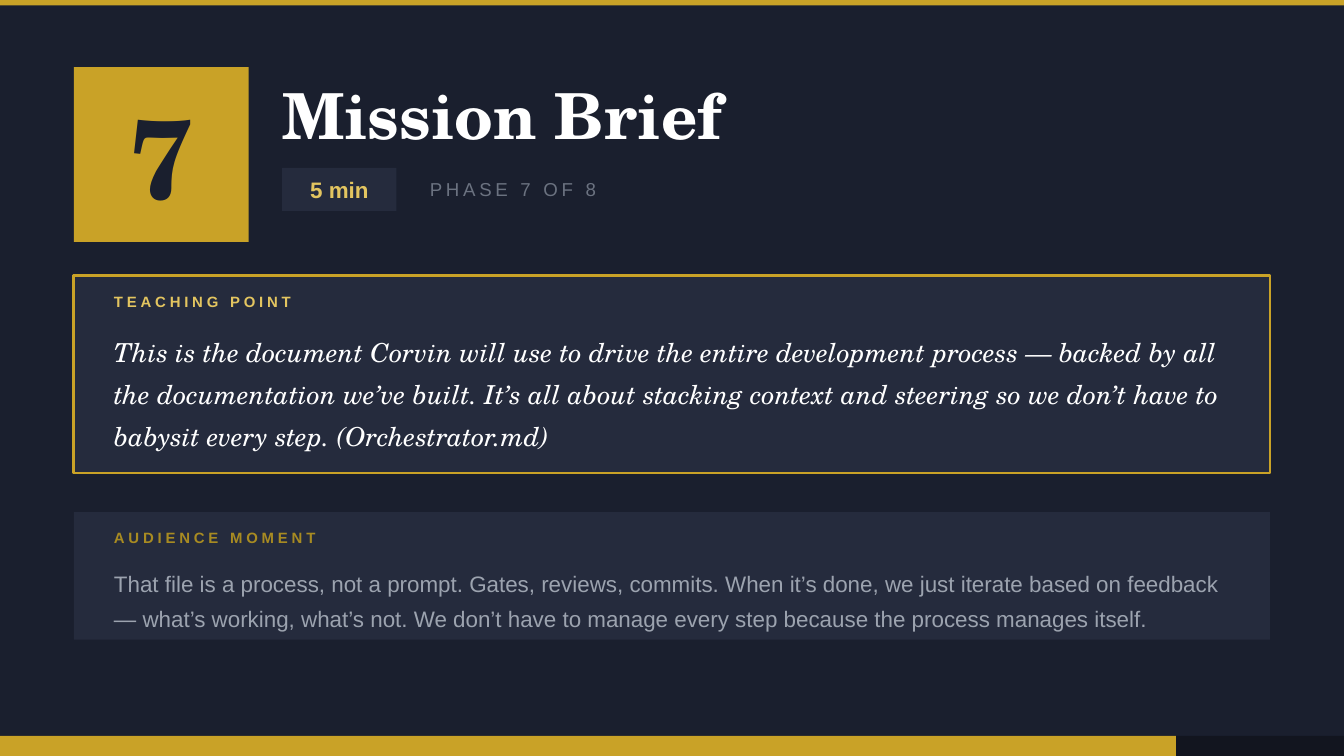
from pptx import Presentation
from pptx.dml.color import RGBColor
from pptx.enum.shapes import MSO_SHAPE
from pptx.enum.text import MSO_ANCHOR, PP_ALIGN
from pptx.util import Inches, Pt

RECT = MSO_SHAPE.RECTANGLE
TOP, MIDDLE = MSO_ANCHOR.TOP, MSO_ANCHOR.MIDDLE
LEFT, CENTER = PP_ALIGN.LEFT, PP_ALIGN.CENTER

SERIF, SANS = "TeX Gyre Schola", "Arial"
NAVY, PANEL, TRACK = "1A1F2E", "252B3D", "12151F"
GOLD, LIGHT_GOLD, DARK_GOLD = "C9A227", "E3C560", "A88B22"
WHITE, GREY, DIM_GREY = "FFFFFF", "9CA3AF", "6B7280"

SLIDE_W = 10
SLIDE_H = SLIDE_W * 9 / 16
MARGIN = 0.55
CONTENT_W = SLIDE_W - 2 * MARGIN
PHASE, PHASES = 7, 8


def rgb(color):
    return RGBColor.from_string(color)


def add_rect(s, x, y, w, h, fill, line=None):
    sp = s.shapes.add_shape(RECT, Inches(x), Inches(y), Inches(w), Inches(h))
    sp.shadow.inherit = False
    sp.fill.solid()
    sp.fill.fore_color.rgb = rgb(fill)
    if line:
        sp.line.color.rgb = rgb(line)
        sp.line.width = Pt(1.5)
    else:
        sp.line.fill.background()


def add_text(s, x, y, w, h, text, size, color, font=SANS, bold=False,
             italic=False, align=LEFT, anchor=MIDDLE, inset=0.1,
             tracking=0, line_spacing=None):
    """Add a one-paragraph text box; tracking is letter spacing in points."""
    sp = s.shapes.add_textbox(Inches(x), Inches(y), Inches(w), Inches(h))
    tf = sp.text_frame
    tf.word_wrap = True
    tf.vertical_anchor = anchor
    tf.margin_left = tf.margin_right = Inches(inset)
    tf.margin_top = tf.margin_bottom = Inches(inset / 2)
    p = tf.paragraphs[0]
    p.alignment = align
    if line_spacing:
        p.line_spacing = line_spacing
    r = p.add_run()
    r.text = text
    p.font.name, p.font.size = font, Pt(size)
    p.font.bold, p.font.italic = bold, italic
    p.font.color.rgb = rgb(color)
    if tracking:
        r.font._element.set("spc", str(tracking * 100))


def add_header(s, x, y, w, title, duration):
    badge = 1.3
    add_rect(s, x, y, badge, badge, GOLD)
    add_text(s, x, y, badge, badge, str(PHASE), 60, NAVY, SERIF, bold=True,
             align=CENTER)

    title_x = x + badge + 0.25
    add_text(s, title_x, y, x + w - title_x, 0.7, title, 34, WHITE, SERIF,
             bold=True, inset=0)

    pill_y, pill_w, pill_h = y + 0.75, 0.85, 0.32
    add_rect(s, title_x, pill_y, pill_w, pill_h, PANEL)
    add_text(s, title_x, pill_y, pill_w, pill_h, duration, 12, LIGHT_GOLD,
             bold=True, align=CENTER)
    add_text(s, title_x + pill_w + 0.15, pill_y, 2, pill_h,
             f"PHASE {PHASE} OF {PHASES}", 10, DIM_GREY, tracking=2)


def add_card(s, x, y, w, h, label, label_color, body, body_h, line=None,
             **body_style):
    add_rect(s, x, y, w, h, PANEL, line)
    add_text(s, x + 0.2, y + 0.08, 2, 0.22, label, 8, label_color, bold=True,
             tracking=2)
    add_text(s, x + 0.2, y + 0.32, w - 0.4, body_h, body, anchor=TOP,
             **body_style)


def add_progress_bar(s, x, y, w, h):
    add_rect(s, x, y, w, h, TRACK)
    add_rect(s, x, y, w * PHASE / PHASES, h, GOLD)


def main():
    prs = Presentation()
    prs.slide_width, prs.slide_height = Inches(SLIDE_W), Inches(SLIDE_H)
    s = prs.slides.add_slide(prs.slide_layouts[6])
    s.background.fill.solid()
    s.background.fill.fore_color.rgb = rgb(NAVY)

    add_rect(s, 0, 0, SLIDE_W, 0.04, GOLD)
    add_header(s, MARGIN, 0.5, CONTENT_W, "Mission Brief", "5 min")
    add_card(
        s, MARGIN, 2.05, CONTENT_W, 1.47, "TEACHING POINT", LIGHT_GOLD,
        "This is the document Corvin will use to drive the entire development "
        "process — backed by all the documentation we’ve built. It’s all about "
        "stacking context and steering so we don’t have to babysit every step. "
        "(Orchestrator.md)",
        0.7, line=GOLD, size=14, color=WHITE, font=SERIF, italic=True,
        line_spacing=1.35)
    add_card(
        s, MARGIN, 3.81, CONTENT_W, 0.95, "AUDIENCE MOMENT", DARK_GOLD,
        "That file is a process, not a prompt. Gates, reviews, commits. When "
        "it’s done, we just iterate based on feedback — what’s working, what’s "
        "not. We don’t have to manage every step because the process manages "
        "itself.",
        0.55, size=12, color=GREY, line_spacing=1.3)
    add_progress_bar(s, 0, SLIDE_H - 0.15, SLIDE_W, 0.15)
    prs.save("out.pptx")


if __name__ == "__main__":
    main()
